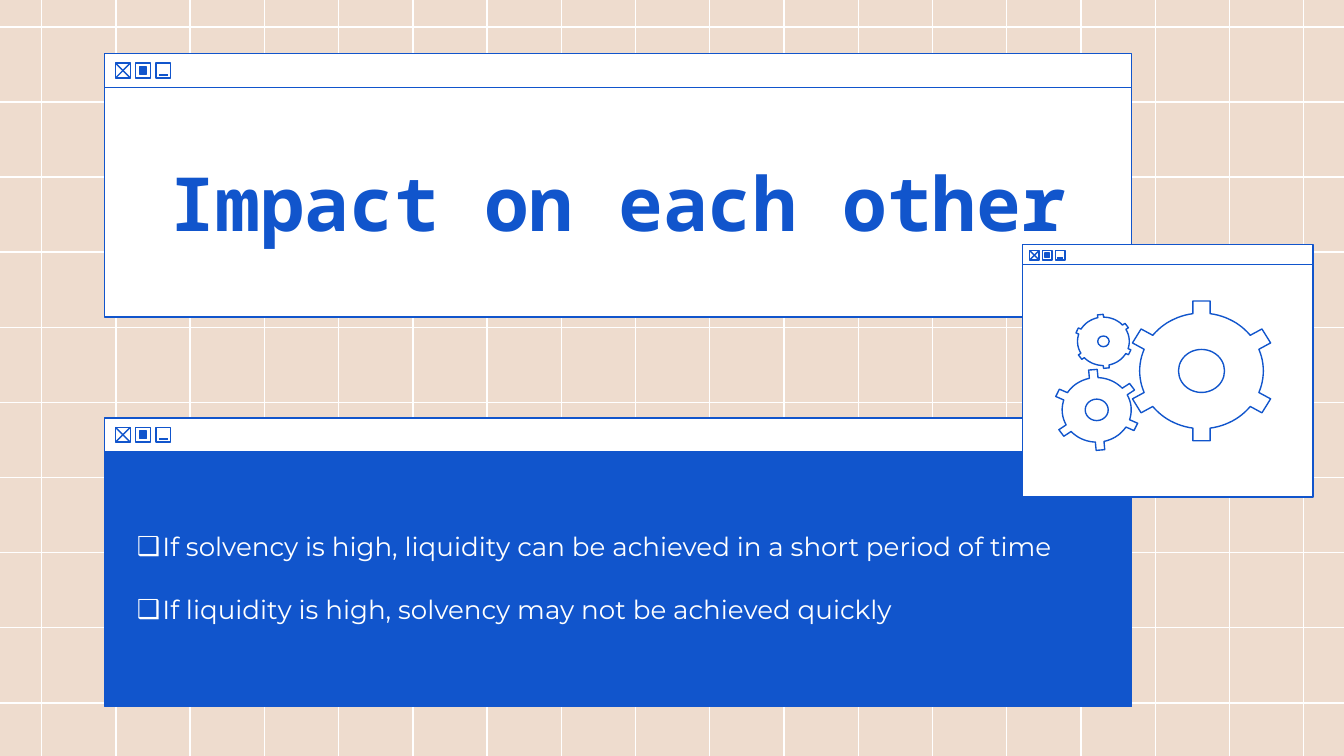
import math
from dataclasses import dataclass

import pptx
import pptx.dml.color
import pptx.enum.shapes
import pptx.enum.text
import pptx.oxml.ns
import pptx.util
from lxml import etree

Inches = pptx.util.Inches
Pt = pptx.util.Pt
COLORS = {"sand": "EEDCCE", "blue": "1155CC", "white": "FFFFFF"}
WIDE = 10
HIGH = WIDE * 9 / 16
STRETCH = 1.07  # gears are a little wider than tall


@dataclass
class Window:
    left: float
    top: float
    width: float
    bar: float
    body: float
    fill: str
    scale: float = 1
    bar_width: float = 0  # only where the bar is wider than the body


@dataclass
class Gear:
    x: float
    y: float
    ring: float
    tip: float
    half: float
    hole: float
    turn: float = 0


WINDOWS = [
    Window(0.78, 0.4, 7.64, 0.25, 1.71, "white"),
    Window(0.78, 3.11, 7.64, 0.25, 1.9, "blue", bar_width=8.43),
]
POPUP = Window(7.61, 1.82, 2.16, 0.15, 1.73, "white", scale=0.64)
GEARS = [
    Gear(8.94, 2.76, 0.43, 0.52, 0.06, 0.16),
    Gear(8.16, 3.05, 0.24, 0.3, 0.03, 0.08, -5),
    Gear(8.21, 2.54, 0.18, 0.2, 0.02, 0.04, -6),
]


def color(name: str) -> pptx.dml.color.RGBColor:
    return pptx.dml.color.RGBColor.from_string(COLORS[name])


def style(shape, fill: str = "") -> None:
    shape.shadow.inherit = False
    if fill:
        shape.fill.solid()
        shape.fill.fore_color.rgb = color(fill)
    else:
        shape.fill.background()
    shape.line.color.rgb = color("blue")
    shape.line.width = Pt(0.75)


def add_shape(slide, kind: str, x: float, y: float, w: float, h: float,
              fill: str = "") -> None:
    preset = getattr(pptx.enum.shapes.MSO_SHAPE, kind)
    shape = slide.shapes.add_shape(
        preset, Inches(x), Inches(y), Inches(w), Inches(h))
    style(shape, fill)


def add_line(slide, x1: float, y1: float, x2: float, y2: float,
             name: str = "blue") -> None:
    line = slide.shapes.add_connector(
        pptx.enum.shapes.MSO_CONNECTOR.STRAIGHT,
        Inches(x1), Inches(y1), Inches(x2), Inches(y2))
    line.line.color.rgb = color(name)
    line.line.width = Pt(0.75)
    etree.SubElement(line._element.spPr, pptx.oxml.ns.qn("a:effectLst"))


def add_window(slide, win: Window) -> None:
    add_shape(slide, "RECTANGLE", win.left, win.top + win.bar,
              win.width, win.body, win.fill)
    add_shape(slide, "RECTANGLE", win.left, win.top,
              win.bar_width or win.width, win.bar, "white")
    # Close, grow and shrink buttons
    size, step = 0.11 * win.scale, 0.15 * win.scale
    x, y = win.left + 0.08 * win.scale, win.top + 0.07 * win.scale
    for i in range(3):
        add_shape(slide, "RECTANGLE", x + i * step, y, size, size)
    add_line(slide, x, y, x + size, y + size)
    add_line(slide, x + size, y, x, y + size)
    add_shape(slide, "RECTANGLE", x + step + size / 4, y + size / 4,
              size / 2, size / 2, "blue")
    low = y + size * 0.8
    add_line(slide, x + 2 * step + size * 0.2, low,
             x + 2 * step + size * 0.8, low)


def add_gear(slide, gear: Gear) -> None:
    base = math.degrees(math.asin(gear.half / gear.ring))
    edge = math.degrees(math.atan(gear.half / gear.tip))
    reach = math.hypot(gear.half, gear.tip)
    steps = 12
    points = []
    for tooth in range(0, 360, 60):
        polar = [(gear.ring, -base), (reach, -edge), (reach, edge)]
        # Arc from this tooth to the next
        polar += [(gear.ring, base + (60 - 2 * base) * i / steps)
                  for i in range(steps)]
        for dist, angle in polar:
            turn = math.radians(tooth + angle + gear.turn)
            points.append((Inches(gear.x + STRETCH * dist * math.sin(turn)),
                           Inches(gear.y - dist * math.cos(turn))))
    form = slide.shapes.build_freeform(*points[0], scale=1.0)
    form.add_line_segments(points[1:], close=True)
    style(form.convert_to_shape(), "white")
    rx, ry = gear.hole * STRETCH, gear.hole
    add_shape(slide, "OVAL", gear.x - rx, gear.y - ry, 2 * rx, 2 * ry, "white")


def add_text(slide, x: float, y: float, w: float, h: float, text: str,
             font: str, size: float, name: str, bold: bool = False):
    frame = slide.shapes.add_textbox(
        Inches(x), Inches(y), Inches(w), Inches(h)).text_frame
    frame.text = text
    frame.word_wrap = True
    frame.vertical_anchor = pptx.enum.text.MSO_ANCHOR.MIDDLE
    frame.margin_left = frame.margin_right = Inches(0.1)
    frame.margin_top = frame.margin_bottom = Inches(0.1)
    for para in frame.paragraphs:
        for run in para.runs:
            run.font.name = font
            run.font.size = Pt(size)
            run.font.bold = bold
            run.font.color.rgb = color(name)
    return frame


def add_bullet(para, mark: str, name: str, font: str) -> None:
    props = para._p.get_or_add_pPr()
    props.set("marL", str(Inches(0.19)))
    props.set("indent", str(Inches(-0.19)))
    tint = etree.SubElement(props, pptx.oxml.ns.qn("a:buClr"))
    etree.SubElement(tint, pptx.oxml.ns.qn("a:srgbClr"), val=COLORS[name])
    etree.SubElement(props, pptx.oxml.ns.qn("a:buFont"), typeface=font)
    etree.SubElement(props, pptx.oxml.ns.qn("a:buChar"), char=mark)


def main() -> None:
    deck = pptx.Presentation()
    deck.slide_width, deck.slide_height = Inches(WIDE), Inches(HIGH)
    slide = deck.slides.add_slide(deck.slide_layouts[6])

    # Sand background with white grid
    slide.background.fill.solid()
    slide.background.fill.fore_color.rgb = color("sand")
    for i in range(18):
        x = 0.31 + i * 9.39 / 17
        add_line(slide, x, 0, x, HIGH, "white")
    for i in range(10):
        y = 0.2 + i * 5.03 / 9
        add_line(slide, 0, y, WIDE, y, "white")

    # Title and body windows
    for win in WINDOWS:
        add_window(slide, win)
    title = add_text(slide, 0.78, 0.64, 7.64, 1.72, "Impact on each other",
                     "Noto Sans Mono", 40, "blue", True)
    title.paragraphs[0].alignment = pptx.enum.text.PP_ALIGN.CENTER
    points = add_text(
        slide, 0.92, 3.62, 7.04, 1.36,
        "If solvency is high, liquidity can be achieved in a short period of time\n"
        "If liquidity is high, solvency may not be achieved quickly",
        "Montserrat", 14, "white")
    points.paragraphs[1].space_before = Pt(17)
    for para in points.paragraphs:
        add_bullet(para, "❑", "white", "Montserrat")

    # Gear window
    add_window(slide, POPUP)
    for gear in GEARS:
        add_gear(slide, gear)

    deck.save("out.pptx")


if __name__ == "__main__":
    main()
